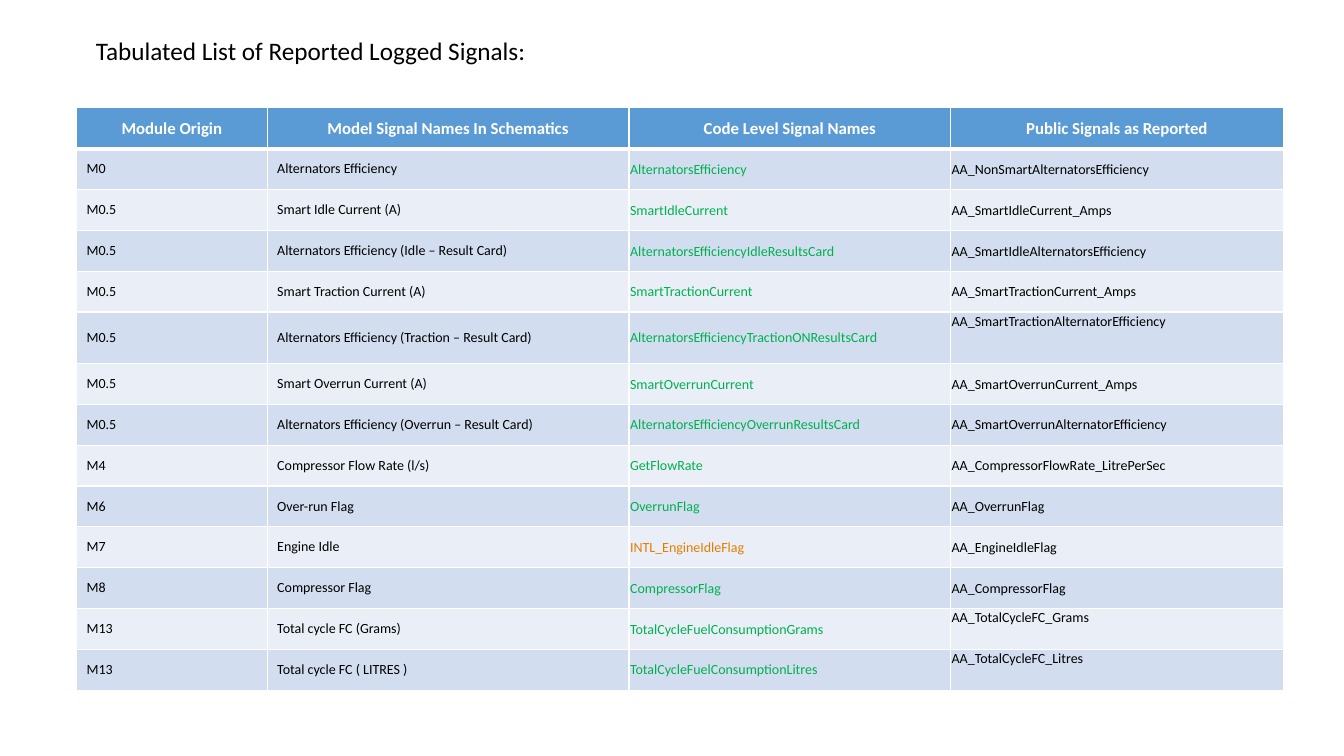
from dataclasses import dataclass

from lxml.etree import SubElement
from pptx import Presentation
from pptx.dml.color import RGBColor
from pptx.enum.text import MSO_ANCHOR as Anchor, MSO_AUTO_SIZE as AutoSize, PP_ALIGN as Align
from pptx.oxml.ns import qn
from pptx.util import Inches, Pt

COLORS = {
    "text": "000000", "white": "FFFFFF", "header": "5B9BD5",
    "odd": "D2DEEF", "even": "EAEFF7", "green": "00B050", "orange": "E47E00",
}
FONT = "Calibri"
COLUMN_WIDTHS = (1.89, 3.59, 3.19, 3.3)
HEADINGS = ("Module Origin", "Model Signal Names In Schematics",
            "Code Level Signal Names", "Public Signals as Reported")
TABLE_LEFT, TABLE_TOP, TABLE_HEIGHT = 0.76, 1.07, 5.78
TALL_ROW, TALL_HEIGHT = 5, 0.51
TIGHT_MARGINS = {"margin_left": Inches(0.01), "margin_right": Inches(0.01),
                 "margin_top": Inches(0.01), "margin_bottom": 0}


@dataclass(frozen=True)
class Signal:
    module: str
    model: str
    code: str
    public: str
    code_color: str = "green"
    public_anchor: Anchor = Anchor.MIDDLE


SIGNALS = (
    Signal("M0", "Alternators Efficiency", "AlternatorsEfficiency",
           "AA_NonSmartAlternatorsEfficiency"),
    Signal("M0.5", "Smart Idle Current (A)", "SmartIdleCurrent", "AA_SmartIdleCurrent_Amps"),
    Signal("M0.5", "Alternators Efficiency (Idle – Result Card)",
           "AlternatorsEfficiencyIdleResultsCard", "AA_SmartIdleAlternatorsEfficiency"),
    Signal("M0.5", "Smart Traction Current (A)", "SmartTractionCurrent",
           "AA_SmartTractionCurrent_Amps"),
    Signal("M0.5", "Alternators Efficiency (Traction – Result Card)",
           "AlternatorsEfficiencyTractionONResultsCard",
           "AA_SmartTractionAlternatorEfficiency", public_anchor=Anchor.TOP),
    Signal("M0.5", "Smart Overrun Current (A)", "SmartOverrunCurrent",
           "AA_SmartOverrunCurrent_Amps"),
    Signal("M0.5", "Alternators Efficiency (Overrun – Result Card)",
           "AlternatorsEfficiencyOverrunResultsCard", "AA_SmartOverrunAlternatorEfficiency"),
    Signal("M4", "Compressor Flow Rate (l/s)", "GetFlowRate",
           "AA_CompressorFlowRate_LitrePerSec"),
    Signal("M6", "Over-run Flag", "OverrunFlag", "AA_OverrunFlag"),
    Signal("M7", "Engine Idle", "INTL_EngineIdleFlag", "AA_EngineIdleFlag",
           code_color="orange"),
    Signal("M8", "Compressor Flag", "CompressorFlag", "AA_CompressorFlag"),
    Signal("M13", "Total cycle FC (Grams)", "TotalCycleFuelConsumptionGrams",
           "AA_TotalCycleFC_Grams", public_anchor=Anchor.TOP),
    Signal("M13", "Total cycle FC ( LITRES )", "TotalCycleFuelConsumptionLitres",
           "AA_TotalCycleFC_Litres", public_anchor=Anchor.TOP),
)


def apply(target, values: dict) -> None:
    for name, value in values.items():
        setattr(target, name, value)


def write(paragraph, text: str, color: str, size: float, bold: bool = False,
          align: Align = Align.LEFT) -> None:
    paragraph.alignment = align
    run = paragraph.add_run()
    run.text = text
    apply(run.font, {"name": FONT, "size": Pt(size), "bold": bold})
    run.font.color.rgb = RGBColor.from_string(COLORS[color])


def add_borders(cell, top: float, bottom: float) -> None:
    properties = cell._tc.get_or_add_tcPr()
    for side, width in {"L": 1, "R": 1, "T": top, "B": bottom}.items():
        line = SubElement(properties, qn(f"a:ln{side}"), w=str(Pt(width)))
        fill = SubElement(line, qn("a:solidFill"))
        SubElement(fill, qn("a:srgbClr"), val=COLORS["white"])


def fill_cell(cell, fill: str, top: float = 1, bottom: float = 1) -> None:
    add_borders(cell, top, bottom)
    cell.fill.solid()
    cell.fill.fore_color.rgb = RGBColor.from_string(COLORS[fill])
    cell.vertical_anchor = Anchor.MIDDLE


def add_title(slide) -> None:
    title = slide.shapes.title
    apply(title, {"left": Inches(0.85), "top": Inches(0.3),
                  "width": Inches(4.57), "height": Inches(0.4)})
    apply(title.text_frame, {"word_wrap": False, "auto_size": AutoSize.SHAPE_TO_FIT_TEXT,
                             "vertical_anchor": Anchor.TOP})
    write(title.text_frame.paragraphs[0], "Tabulated List of Reported Logged Signals:",
          "text", 18)


def add_signal_table(slide) -> None:
    table = slide.shapes.add_table(
        len(SIGNALS) + 1, len(HEADINGS), Inches(TABLE_LEFT), Inches(TABLE_TOP),
        Inches(sum(COLUMN_WIDTHS)), Inches(TABLE_HEIGHT)).table
    for column, width in zip(table.columns, COLUMN_WIDTHS):
        column.width = Inches(width)
    row_height = (TABLE_HEIGHT - TALL_HEIGHT) / len(SIGNALS)
    for number, row in enumerate(table.rows):
        row.height = Inches(TALL_HEIGHT if number == TALL_ROW else row_height)

    # Header row
    for cell, heading in zip(table.rows[0].cells, HEADINGS):
        fill_cell(cell, "header", bottom=3)
        write(cell.text_frame.paragraphs[0], heading, "white", 12, True, Align.CENTER)

    # Signal rows
    for number, signal in enumerate(SIGNALS, start=1):
        module, model, code, public = table.rows[number].cells
        entries = ((module, signal.module, "text"), (model, signal.model, "text"),
                   (code, signal.code, signal.code_color), (public, signal.public, "text"))
        for cell, text, color in entries:
            fill_cell(cell, "odd" if number % 2 else "even", top=3 if number == 1 else 1)
            write(cell.text_frame.paragraphs[0], text, color, 10)
        for cell in (code, public):
            apply(cell, TIGHT_MARGINS)
        public.vertical_anchor = signal.public_anchor


def main() -> None:
    deck = Presentation()
    apply(deck, {"slide_width": Inches(13.33), "slide_height": Inches(7.5)})
    slide = deck.slides.add_slide(deck.slide_layouts.get_by_name("Title Only"))
    add_title(slide)
    add_signal_table(slide)
    deck.save("out.pptx")


if __name__ == "__main__":
    main()
